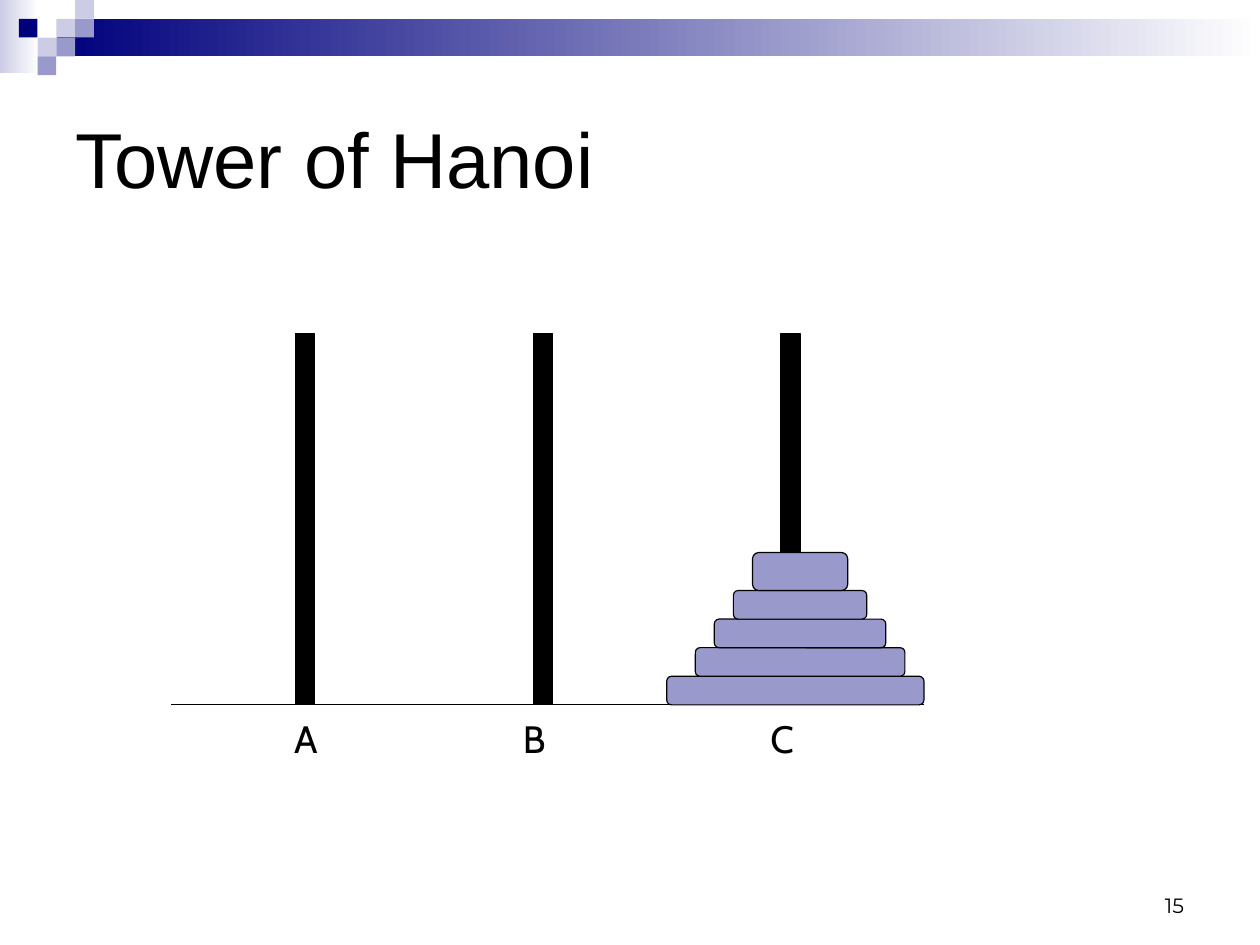
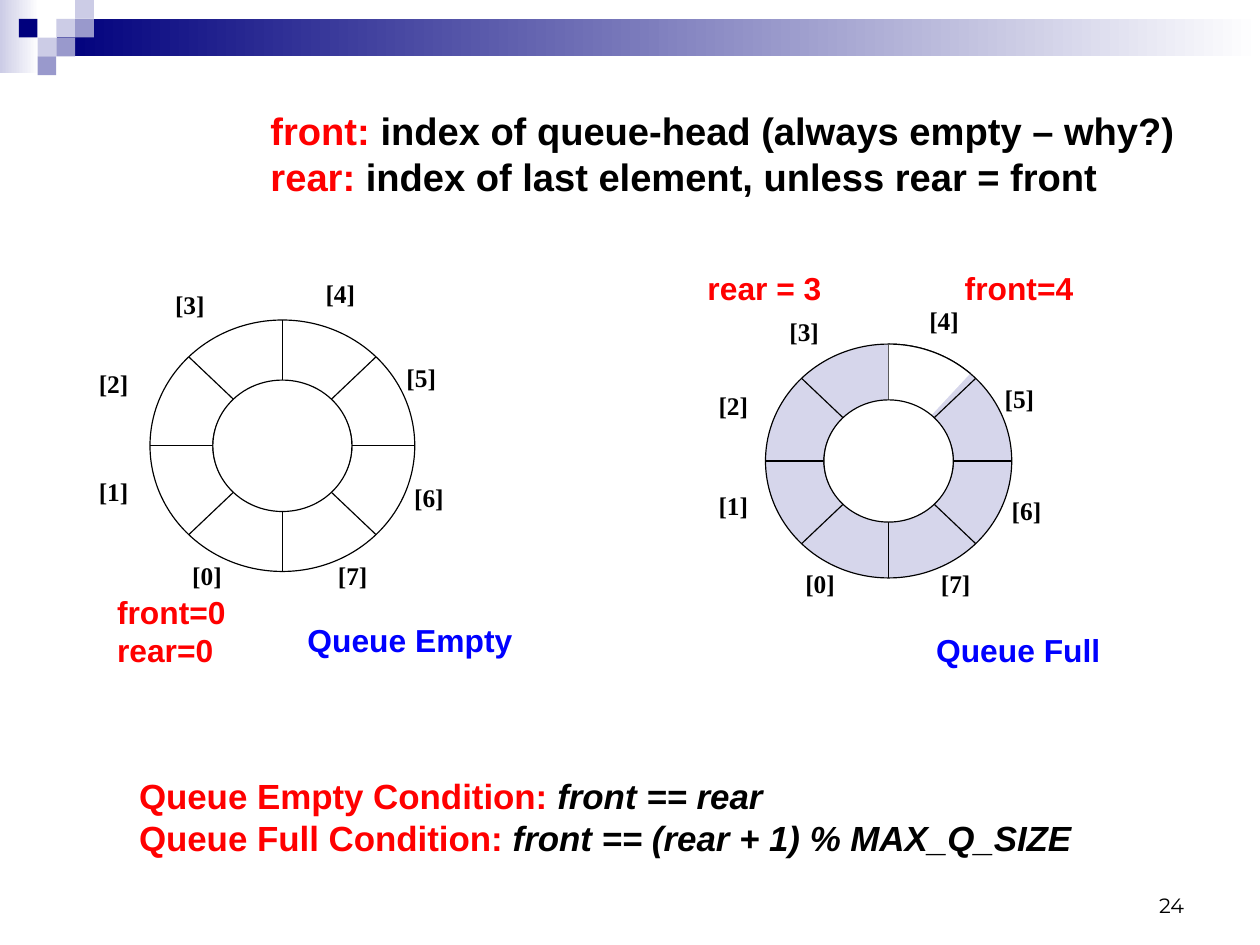
from math import cos, pi, sin
from lxml import etree
from pptx import Presentation
from pptx.dml.color import RGBColor as RGB
from pptx.enum.shapes import MSO_CONNECTOR, MSO_SHAPE as SHP
from pptx.enum.text import MSO_ANCHOR as ANC, MSO_AUTO_SIZE as AUTO, PP_ALIGN as AL
from pptx.oxml.ns import qn
from pptx.util import Cm, Inches, Pt

# Shared look; every length below counts cells of a twelfth of an inch
CELL = Inches(1) // 12
COLORS = {"black": "000000", "white": "FFFFFF", "navy": "00007D", "mid": "9999CC",
          "pale": "CCCCE6", "tint": "D6D6EB", "red": "FF0000", "blue": "0000FF"}
RGBS = {k: RGB.from_string(v) for k, v in COLORS.items()}
FMT = {
    "title": dict(size=Pt(49), name="Arial"),
    "number": dict(size=Pt(13), name="Montserrat"),
    "rod": dict(size=Pt(24), name="Cabin"),
    "heading": dict(size=Pt(24), name="Arial", bold=True),
    "rule": dict(size=Pt(22), name="Arial", bold=True),
    "state": dict(size=Pt(20), name="Arial", bold=True),
    "index": dict(size=Pt(16), name="Times New Roman", bold=True),
}
WIDE = ("title", "number", "heading", "rule")  # formats with the larger insets
LINE = MSO_CONNECTOR.STRAIGHT


def draw(s, kind, box, fill=None, line="black"):
    """Shape at left, top, width, height, or line from x, y to x, y."""
    pos = [round(CELL * v) for v in box]
    if kind is LINE:
        sp = s.shapes.add_connector(kind, *pos)
        etree.SubElement(sp._element.spPr, qn("a:effectLst"))
    else:
        sp = s.shapes.add_shape(kind, *pos)
        sp.shadow.inherit = False
        if isinstance(fill, tuple):
            sp.fill.gradient()
            sp.fill.gradient_angle = 0
            for stop, color in zip(sp.fill.gradient_stops, fill):
                stop.color.rgb = RGBS[color]
        else:
            sp.fill.solid()
            sp.fill.fore_color.rgb = RGBS[fill]
    if line:
        sp.line.color.rgb = RGBS[line]
        sp.line.width = Pt(0.75)
    else:
        sp.line.fill.background()
    return sp


def write(s, box, lines, style, sp=None, wrap=False, anchor=ANC.TOP, align=AL.LEFT):
    """Each line is a list of (text, colour) or (text, colour, italic) runs."""
    pos = [round(CELL * v) for v in box]
    sp = sp or s.shapes.add_textbox(*pos)
    sp.left, sp.top, sp.width, sp.height = pos
    tf = sp.text_frame
    dx, dy = (1.3, 0.7) if style in WIDE else (1.2, 0.6)
    frame = dict(word_wrap=wrap, vertical_anchor=anchor,
                 auto_size=AUTO.NONE if wrap else AUTO.SHAPE_TO_FIT_TEXT,
                 margin_left=round(dx * CELL), margin_right=round(dx * CELL),
                 margin_top=round(dy * CELL), margin_bottom=round(dy * CELL))
    for key, value in frame.items():
        setattr(tf, key, value)
    for i, runs in enumerate(lines):
        p = tf.add_paragraph() if i else tf.paragraphs[0]
        p.alignment = align
        for text, color, *italic in runs:
            r = p.add_run()
            r.text = text
            for key, value in FMT[style].items():
                setattr(r.font, key, value)
            r.font.italic = bool(italic)
            r.font.color.rgb = RGBS[color]


prs = Presentation()
prs.slide_width, prs.slide_height = Cm(28), Cm(21)
hanoi, queue = [prs.slides.add_slide(prs.slide_layouts[5]) for _ in range(2)]

# Master: gradient bands and the mosaic of squares, moved behind its placeholders
Q = 1.97
bands = [((0, 0, 4.1, 7.7), ("pale", "white")),
         ((6, Q, 126.3, 2 * Q), ("navy", "white"))]
mosaic = [(3, 1, "pale"), (4, 0, "pale"), (4, 1, "mid"), (2, 2, "pale"),
          (1, 1, "navy"), (3, 2, "mid"), (2, 3, "mid")]
bands += [((col * Q, row * Q, Q, Q), color) for col, row, color in mosaic]
for i, (box, fill) in enumerate(bands):
    el = draw(hanoi, SHP.RECTANGLE, box, fill, None).element
    el.xpath(".//p:cNvPr")[0].set("id", str(100 + i))
    prs.slide_master.shapes.element.insert(2 + i, el)

# Page numbers
for s, number in ((hanoi, "15"), (queue, "24")):
    write(s, (94.8, 90.4, 30.8, 6.6), [[(number, "black")]], "number",
          wrap=True, anchor=ANC.BOTTOM, align=AL.RIGHT)

# Tower of Hanoi: rods, ground, disks from the bottom up, rod names
s = hanoi
write(s, (6.6, 6.6, 119, 19.8), [[("Tower of Hanoi", "black")]], "title",
      sp=s.shapes.title, wrap=True, anchor=ANC.MIDDLE)
ground = 74
for x in (31, 56, 82):
    draw(s, SHP.RECTANGLE, (x, ground - 39, 2, 39), "black")
draw(s, LINE, (18, ground, 97, ground))
top = ground
for x, w, h in ((70, 27, 3), (73, 22, 3), (75, 18, 3), (77, 14, 3), (79, 10, 4)):
    top -= h
    draw(s, SHP.ROUNDED_RECTANGLE, (x, top, w, h), "mid")
for x, name in ((29.7, "A"), (53.7, "B"), (79.7, "C")):
    write(s, (x, 74.5, 4.9, 6), [[(name, "black")]], "rod")

# Circular queue: heading and conditions
s = queue
write(s, (27.1, 10.6, 97.6, 10.9),
      [[("front:", "red"), (" index of queue-head (always empty – why?)", "black")],
       [("rear:", "red"), (" index of last element, unless rear = front", "black")]],
      "heading", sp=s.shapes.title)
write(s, (13.3, 80.6, 100.6, 10.1),
      [[("Queue Empty Condition: ", "red"), ("front == rear", "black", True)],
       [("Queue Full Condition: ", "red"),
        ("front == (rear + 1) % MAX_Q_SIZE", "black", True)]], "rule")

# Two rings of eight slots; index labels are offset from the centre
offsets = [(-7.9, 13.6), (-17.7, 4.8), (-17.7, -6.5), (-9.7, -14.8),
           (6.1, -16), (14.6, -7.2), (15.4, 5.4), (7.4, 13.6)]
for cx, cy, scale, fill in ((29.65, 46.8, 1, "white"), (93.3, 48.4, 0.93, "tint")):
    rx, ry = 13.9 * scale, 13.2 * scale
    outer = (cx - rx, cy - ry, 2 * rx, 2 * ry)
    draw(s, SHP.DONUT, outer, fill).adjustments[0] = 0.25
    for k in range(4):
        dx, dy = rx * cos(k * pi / 4), ry * sin(k * pi / 4)
        draw(s, LINE, (cx + dx, cy + dy, cx - dx, cy - dy))
    if fill == "tint":  # the one empty slot, [4]
        slot = draw(s, SHP.ARC, outer, "white")
        for k, degrees in enumerate((270, 313)):
            slot.adjustments[k] = degrees * 0.6
    hx, hy = 7.3 * scale, 6.9 * scale
    draw(s, SHP.OVAL, (cx - hx, cy - hy, 2 * hx, 2 * hy), "white")
    drift = 2.4 * (1 - scale)  # labels of the smaller ring sit a little lower right
    for k, (dx, dy) in enumerate(offsets):
        write(s, (cx + dx * scale - 2.75 + drift, cy + dy * scale - 2.2 + drift, 5.5, 4.4),
              [[(f"[{k}]", "black")]], "index")

# Queue states
for x, y, w, h, color, lines in (
        (11.1, 61.6, 13.8, 9.2, "red", ("front=0", "rear=0")),
        (31.1, 64.6, 23.9, 5.3, "blue", ("Queue Empty",)),
        (100.1, 27.6, 13.8, 5.3, "red", ("front=4",)),
        (97.1, 65.6, 19.7, 5.3, "blue", ("Queue Full",)),
        (73.1, 27.6, 14.4, 5.3, "red", ("rear = 3",))):
    write(s, (x, y, w, h), [[(text, color)] for text in lines], "state")

prs.save("out.pptx")
